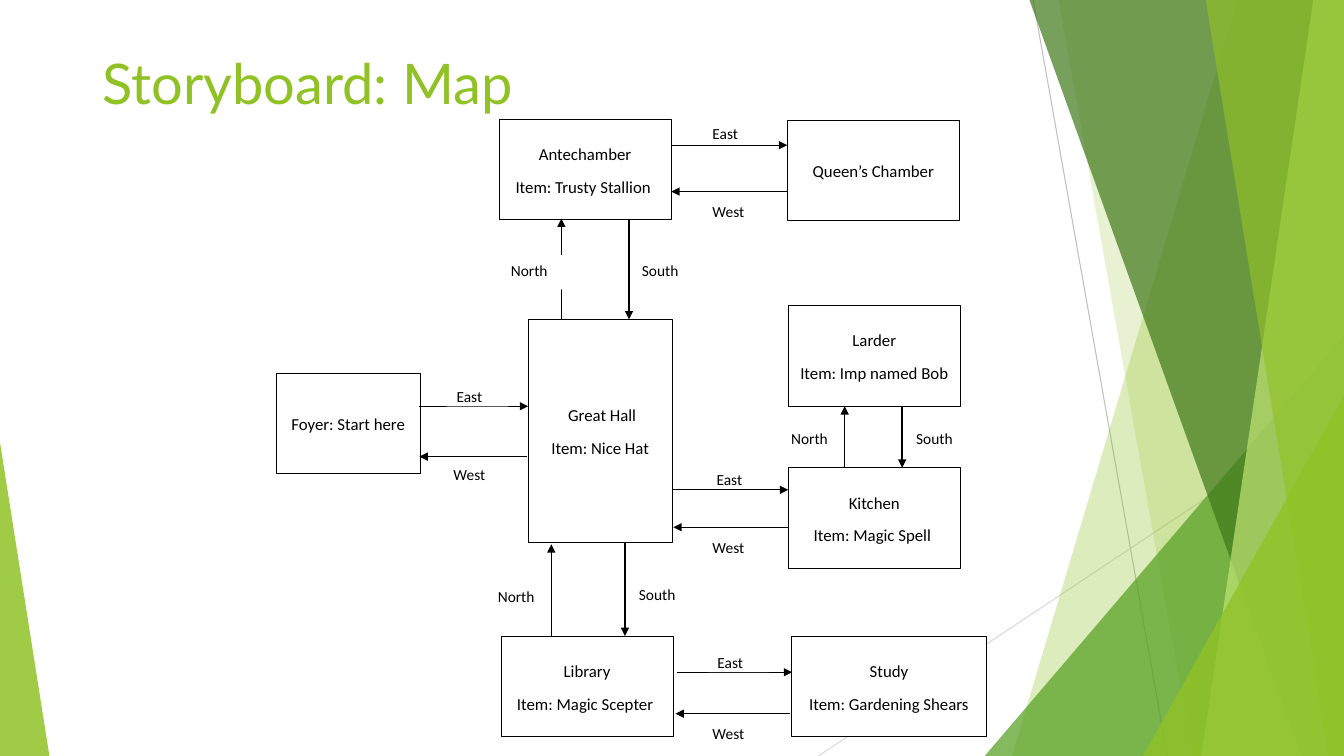
from dataclasses import dataclass

from lxml import etree
from pptx import Presentation
from pptx import util as u
from pptx.dml import color
from pptx.enum import shapes, text
from pptx.oxml import ns

Pt = u.Pt
WIDTH, HEIGHT = 960, 540
TOP_EDGE = -0.7
COLORS = {
    "lime": "90C226", "green": "54A021", "forest": "3F7819", "pale": "C0E474",
    "ray": "BFBFBF", "faint_ray": "D9D9D9", "ink": "000000", "paper": "FFFFFF",
}
HEADINGS = {"North": (0, -1), "South": (0, 1), "East": (1, 0), "West": (-1, 0)}


@dataclass(frozen=True)
class Ribbon:
    top_x: float
    bottom_x: float
    color: str
    opacity: int


@dataclass(frozen=True)
class Wedge:
    left: float
    top: float
    width: float
    apex: float
    color: str
    opacity: int


@dataclass(frozen=True)
class Room:
    lines: tuple[str, ...]
    left: float
    top: float
    width: float = 123.1
    height: float = 72


@dataclass(frozen=True)
class Passage:
    heading: str
    x: float
    y: float
    length: float
    label_x: float
    label_y: float
    weight: float = 1


FACETS = [
    Ribbon(884.2, 722.9, "lime", 30),
    Ribbon(756, 851.8, "lime", 20),
    Wedge(703.4, 239.8, 256.6, 1, "green", 72),
    Ribbon(735.1, 929.5, "forest", 70),
    Ribbon(938.2, 858.2, "pale", 70),
    Ribbon(861.1, 949, "lime", 65),
    Wedge(816.5, 283, 143.5, 1, "lime", 80),
    Wedge(0, 316.1, 35.3, 0, "lime", 85),
]
ROOMS = [
    Room(("Antechamber", "Item: Trusty Stallion "), 356.4, 85),
    Room(("Queen’s Chamber",), 562.3, 85.7),
    Room(("Larder", "Item: Imp named Bob"), 563, 218.2),
    Room(("Kitchen", "Item: Magic Spell "), 563, 334.1),
    Room(("Study", "Item: Gardening Shears"), 565.2, 454.3, 139.7),
    Room(("Foyer: Start here",), 197.3, 266.4, 103),
    Room(("Library", "Item: Magic Scepter "), 357.8, 454.3),
    Room(("\u00a0Great Hall", "Item: Nice Hat"), 377.3, 228.2, 103, 159.1),
]
PASSAGES = [
    Passage("North", 401, 228.2, 72, 357.8, 182.2),
    Passage("North", 393.8, 454.3, 65.5, 348.5, 414.7),
    Passage("North", 603.4, 334.1, 43.9, 558, 302.4),
    Passage("South", 449.3, 156.2, 72, 451.4, 182.2),
    Passage("South", 446.4, 388.1, 66.2, 449.3, 413.3),
    Passage("South", 644.4, 290.2, 43.9, 647.3, 302.4),
    Passage("East", 479.5, 103.7, 82.8, 501.8, 84.2, 0.75),
    Passage("East", 481, 349.9, 82, 504.7, 331.2, 0.75),
    Passage("East", 483.8, 480.2, 82, 505.4, 462.2, 0.75),
    Passage("East", 299.5, 290.2, 77.8, 319, 272.2),
    Passage("West", 562.3, 136.8, 82.8, 501.8, 139.7),
    Passage("West", 564.5, 509.8, 82, 501.8, 512.6),
    Passage("West", 563, 376.6, 82, 501.8, 380.2),
    Passage("West", 376.6, 326.2, 77, 316.8, 327.6),
]

deck = Presentation()
deck.slide_width, deck.slide_height = Pt(WIDTH), Pt(HEIGHT)
slide = deck.slides.add_slide(deck.slide_layouts[6])


def rgb(name: str) -> color.RGBColor:
    return color.RGBColor.from_string(COLORS[name])


def paint(shape, fill: str, opacity: int = 100) -> None:
    shape.shadow.inherit = False
    shape.line.fill.background()
    shape.fill.solid()
    shape.fill.fore_color.rgb = rgb(fill)
    if opacity < 100:
        tint = shape.fill._xPr.find(".//" + ns.qn("a:srgbClr"))
        etree.SubElement(tint, ns.qn("a:alpha"), val=str(opacity * 1000))


def write(shape, lines: tuple[str, ...], size: float, font: str, ink: str,
          align: text.PP_ALIGN, anchor: text.MSO_ANCHOR,
          spacing: float = 1.07, after: float = 8) -> None:
    frame = shape.text_frame
    frame.word_wrap = True
    frame.vertical_anchor = anchor
    for index, line in enumerate(lines):
        paragraph = frame.add_paragraph() if index else frame.paragraphs[0]
        paragraph.alignment = align
        paragraph.line_spacing = spacing
        paragraph.space_after = Pt(after)
        run = paragraph.add_run()
        run.text = line
        run.font.size = Pt(size)
        run.font.name = font
        run.font.color.rgb = rgb(ink)


def draw_line(x1: float, y1: float, x2: float, y2: float, ink: str,
              weight: float, arrow: bool = False) -> None:
    line = slide.shapes.add_connector(
        shapes.MSO_CONNECTOR.STRAIGHT, Pt(x1), Pt(y1), Pt(x2), Pt(y2))
    line.line.color.rgb = rgb(ink)
    line.line.width = Pt(weight)
    if arrow:
        etree.SubElement(line.line._get_or_add_ln(), ns.qn("a:tailEnd"), type="triangle")
    etree.SubElement(line._element.spPr, ns.qn("a:effectLst"))


def draw_ribbon(ribbon: Ribbon) -> None:
    outline = slide.shapes.build_freeform(Pt(ribbon.top_x), Pt(TOP_EDGE))
    corners = [(WIDTH, TOP_EDGE), (WIDTH, HEIGHT), (ribbon.bottom_x, HEIGHT)]
    outline.add_line_segments([(Pt(x), Pt(y)) for x, y in corners], close=True)
    paint(outline.convert_to_shape(), ribbon.color, ribbon.opacity)


def draw_wedge(wedge: Wedge) -> None:
    triangle = slide.shapes.add_shape(
        shapes.MSO_SHAPE.ISOSCELES_TRIANGLE, Pt(wedge.left), Pt(wedge.top),
        Pt(wedge.width), Pt(HEIGHT - wedge.top))
    triangle.adjustments[0] = wedge.apex
    paint(triangle, wedge.color, wedge.opacity)


def add_box(left: float, top: float, width: float, height: float):
    box = slide.shapes.add_shape(
        shapes.MSO_SHAPE.RECTANGLE, Pt(left), Pt(top), Pt(width), Pt(height))
    paint(box, "paper")
    return box


def draw_room(room: Room) -> None:
    box = add_box(room.left, room.top, room.width, room.height)
    box.line.color.rgb = rgb("ink")
    box.line.width = Pt(0.5)
    write(box, room.lines, 12, "Calibri", "ink",
          text.PP_ALIGN.CENTER, text.MSO_ANCHOR.MIDDLE)


def draw_passage(passage: Passage) -> None:
    dx, dy = HEADINGS[passage.heading]
    draw_line(passage.x, passage.y, passage.x + dx * passage.length,
              passage.y + dy * passage.length, "ink", passage.weight, arrow=True)
    label = add_box(passage.label_x, passage.label_y, 43.9, 24.5 if dy else 18)
    write(label, (passage.heading,), 11, "Calibri", "ink",
          text.PP_ALIGN.LEFT, text.MSO_ANCHOR.TOP)


draw_line(738, 0, 833.8, HEIGHT, "ray", 0.75)
draw_line(WIDTH, 290.2, 584.6, HEIGHT, "faint_ray", 0.75)
for facet in FACETS:
    if isinstance(facet, Ribbon):
        draw_ribbon(facet)
    else:
        draw_wedge(facet)

title = slide.shapes.add_textbox(Pt(66.2), Pt(31), Pt(626.4), Pt(85))
write(title, ("Storyboard: Map",), 40, "Lato", "lime",
      text.PP_ALIGN.LEFT, text.MSO_ANCHOR.TOP, spacing=1.0, after=0)

for room in ROOMS:
    draw_room(room)
for passage in PASSAGES:
    draw_passage(passage)

deck.save("out.pptx")
